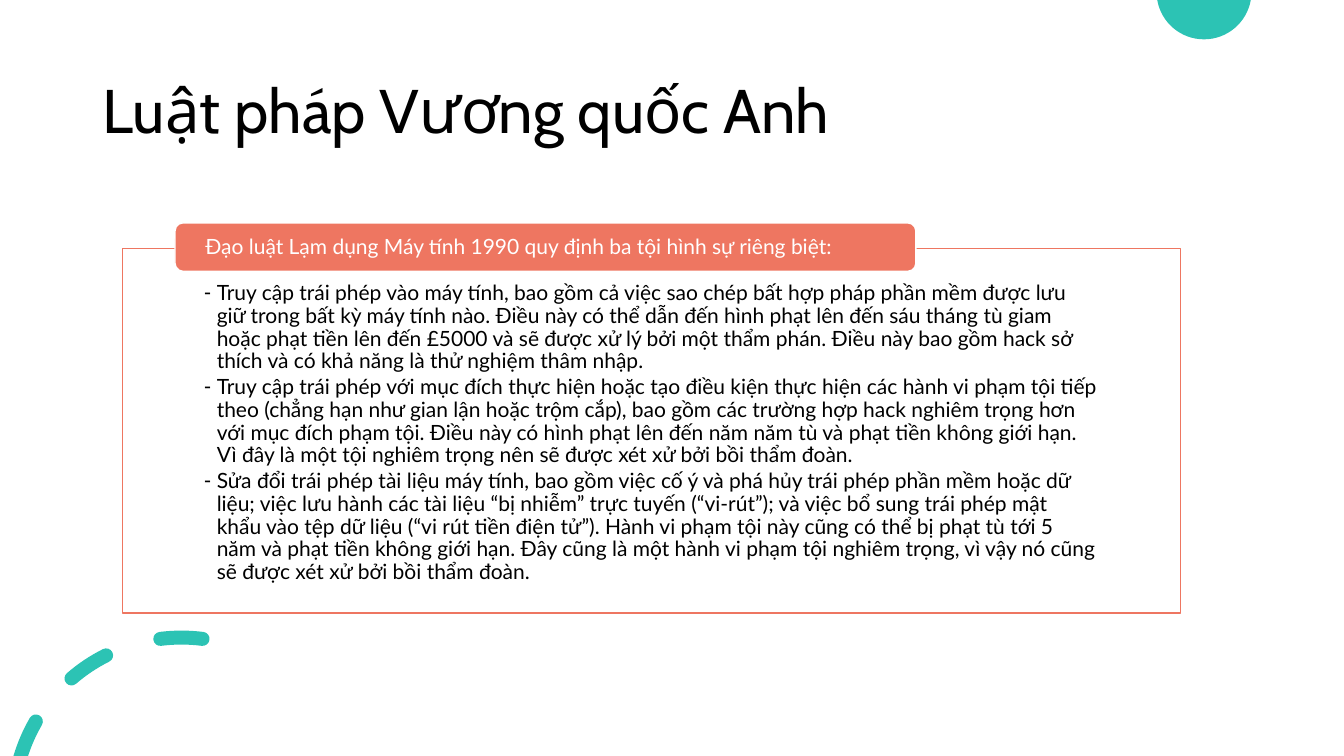
from math import asin, ceil, cos, degrees, radians, sin, tan

from lxml import etree
from pptx import Presentation
from pptx.dml.color import RGBColor
from pptx.enum.shapes import MSO_SHAPE
from pptx.enum.text import MSO_ANCHOR, MSO_AUTO_SIZE, PP_ALIGN
from pptx.oxml.ns import qn
from pptx.util import Pt

TITLE = "Luật pháp Vương quốc Anh"
HEADING = "Đạo luật Lạm dụng Máy tính 1990 quy định ba tội hình sự riêng biệt:"
OFFENCES = [
    "Truy cập trái phép vào máy tính, bao gồm cả việc sao chép bất hợp pháp phần mềm được lưu "
    "giữ trong bất kỳ máy tính nào. Điều này có thể dẫn đến hình phạt lên đến sáu tháng tù giam "
    "hoặc phạt tiền lên đến £5000 và sẽ được xử lý bởi một thẩm phán. Điều này bao gồm hack sở "
    "thích và có khả năng là thử nghiệm thâm nhập.",
    "Truy cập trái phép với mục đích thực hiện hoặc tạo điều kiện thực hiện các hành vi phạm tội "
    "tiếp theo (chẳng hạn như gian lận hoặc trộm cắp), bao gồm các trường hợp hack nghiêm trọng "
    "hơn với mục đích phạm tội. Điều này có hình phạt lên đến năm năm tù và phạt tiền không giới "
    "hạn. Vì đây là một tội nghiêm trọng nên sẽ được xét xử bởi bồi thẩm đoàn.",
    "Sửa đổi trái phép tài liệu máy tính, bao gồm việc cố ý và phá hủy trái phép phần mềm hoặc dữ "
    "liệu; việc lưu hành các tài liệu “bị nhiễm” trực tuyến (“vi-rút”); và việc bổ sung trái phép "
    "mật\vkhẩu vào tệp dữ liệu (“vi rút tiền điện tử”). Hành vi phạm tội này cũng có thể bị phạt tù "
    "tới 5 năm và phạt tiền không giới hạn. Đây cũng là một hành vi phạm tội nghiêm trọng, vì vậy "
    "nó cũng sẽ được xét xử bởi bồi thẩm đoàn.",
]

TEAL = RGBColor(0x2C, 0xC3, 0xB4)
CORAL = RGBColor(0xEE, 0x76, 0x61)
WHITE = RGBColor(0xFF, 0xFF, 0xFF)
BLACK = RGBColor(0, 0, 0)

PAGE_WIDTH, PAGE_HEIGHT = 960, 540
BALL_CENTRE, BALL_RADIUS = (860, -5.8), 33.9
RING_CENTRE, RING_RADIUS, DASH_HALF_WIDTH = (129.6, 575.6), 120.2, 5
DASH_ANGLES = [(82.8, 97.2), (116.6, 130.8), (149.9, 180)]


def on_circle(centre, radius, angle):
    """Point at an angle in degrees, anticlockwise from the right."""
    turn = radians(angle)
    return centre[0] + radius * cos(turn), centre[1] - radius * sin(turn)


def arc(centre, radius, start, end):
    """Start point, then two handles and an end point for each Bezier piece."""
    pieces = ceil(abs(end - start) / 90)
    step = (end - start) / pieces
    reach = 4 / 3 * tan(radians(step) / 4)
    points = [on_circle(centre, radius, start)]
    for piece in range(pieces):
        first = start + piece * step
        for angle, pull in ((first, reach), (first + step, -reach)):
            x, y = on_circle(centre, radius, angle)
            turn = radians(angle)
            points.append((x - pull * radius * sin(turn), y - pull * radius * cos(turn)))
        points.append(on_circle(centre, radius, first + step))
    return points


def dash_outline(start, end):
    """Round-ended band along the ring, cut flat where it meets the page bottom."""
    outer, inner = RING_RADIUS + DASH_HALF_WIDTH, RING_RADIUS - DASH_HALF_WIDTH
    outer_end, inner_end = [
        min(end, 180 - degrees(asin((RING_CENTRE[1] - PAGE_HEIGHT) / radius)))
        for radius in (outer, inner)]

    def cap(angle, first):
        middle = on_circle(RING_CENTRE, RING_RADIUS, angle)
        return arc(middle, DASH_HALF_WIDTH, first, first + 180)[1:]

    points = arc(RING_CENTRE, outer, start, outer_end)
    inner_arc = arc(RING_CENTRE, inner, inner_end, start)
    points += cap(end, end) if outer_end == end else [points[-1], inner_arc[0], inner_arc[0]]
    return points + inner_arc[1:] + cap(start, start + 180)


def add_curved_outlines(page, outlines):
    outlines = [[(Pt(x), Pt(y)) for x, y in points] for points in outlines]
    builder = page.shapes.build_freeform(*outlines[0][0], scale=1.0)
    for number, points in enumerate(outlines):
        if number:
            builder.move_to(*points[0])
        builder.add_line_segments(points[1:], close=True)
    shape = builder.convert_to_shape()
    segments = list(shape._element.iter(qn("a:lnTo")))
    for first in range(0, len(segments), 3):
        curve = etree.Element(qn("a:cubicBezTo"))
        segments[first].addprevious(curve)
        for segment in segments[first:first + 3]:
            curve.append(segment[0])
            segment.getparent().remove(segment)
    shape.shadow.inherit = False
    shape.fill.solid()
    shape.fill.fore_color.rgb = TEAL
    shape.line.fill.background()


def place(shape, left, top, width, height):
    shape.left, shape.top, shape.width, shape.height = Pt(left), Pt(top), Pt(width), Pt(height)


def paint(shape, fill, line):
    shape.fill.solid()
    shape.fill.fore_color.rgb = fill
    shape.line.color.rgb = line
    shape.line.width = Pt(1)


def format_text(shape, insets, anchor, font, size, color, space_after=0):
    frame = shape.text_frame
    frame.word_wrap = True
    frame.auto_size = MSO_AUTO_SIZE.NONE
    frame.vertical_anchor = anchor
    frame.margin_left, frame.margin_top, frame.margin_right, frame.margin_bottom = map(Pt, insets)
    for para in frame.paragraphs:
        para.alignment = PP_ALIGN.LEFT
        para.line_spacing = 0.9
        para.space_before = Pt(0)
        para.space_after = Pt(space_after)
        for span in para.runs:
            span.font.name = font
            span.font.size = Pt(size)
            span.font.color.rgb = color


def add_dash_bullet(para):
    properties = para._p.get_or_add_pPr()
    properties.set("marL", str(Pt(9)))
    properties.set("indent", str(Pt(-9)))
    etree.SubElement(properties, qn("a:buChar")).set("char", "-")


def main():
    deck = Presentation()
    deck.slide_width, deck.slide_height = Pt(PAGE_WIDTH), Pt(PAGE_HEIGHT)
    page = deck.slides.add_slide(deck.slide_layouts[1])

    title, body = page.placeholders
    place(title, 66, 28.8, 828, 104.4)
    title.text_frame.text = TITLE
    format_text(title, (7.2, 3.6, 7.2, 3.6), MSO_ANCHOR.MIDDLE, "Cabin", 44, BLACK)

    place(body, 87.3, 177.4, 756, 260.6)
    paint(body, WHITE, CORAL)
    body.text_frame.text = "\n".join(OFFENCES)
    format_text(body, (58.5, 24.5, 58.5, 8.6), MSO_ANCHOR.TOP, "Lato", 15, BLACK, 2.25)
    for para in body.text_frame.paragraphs:
        add_dash_bullet(para)

    tab = page.shapes.add_shape(MSO_SHAPE.ROUNDED_RECTANGLE, 0, 0, 0, 0)
    place(tab, 125, 159.2, 529.2, 34.6)
    tab.shadow.inherit = False
    paint(tab, CORAL, WHITE)
    tab.text_frame.text = HEADING
    format_text(tab, (20, 1.4, 20, 0), MSO_ANCHOR.MIDDLE, "Lato", 15, WHITE)

    edge = degrees(asin(BALL_CENTRE[1] / BALL_RADIUS))
    add_curved_outlines(page, [arc(BALL_CENTRE, BALL_RADIUS, edge, -180 - edge)])
    add_curved_outlines(page, [dash_outline(*angles) for angles in DASH_ANGLES])

    deck.save("out.pptx")


if __name__ == "__main__":
    main()
